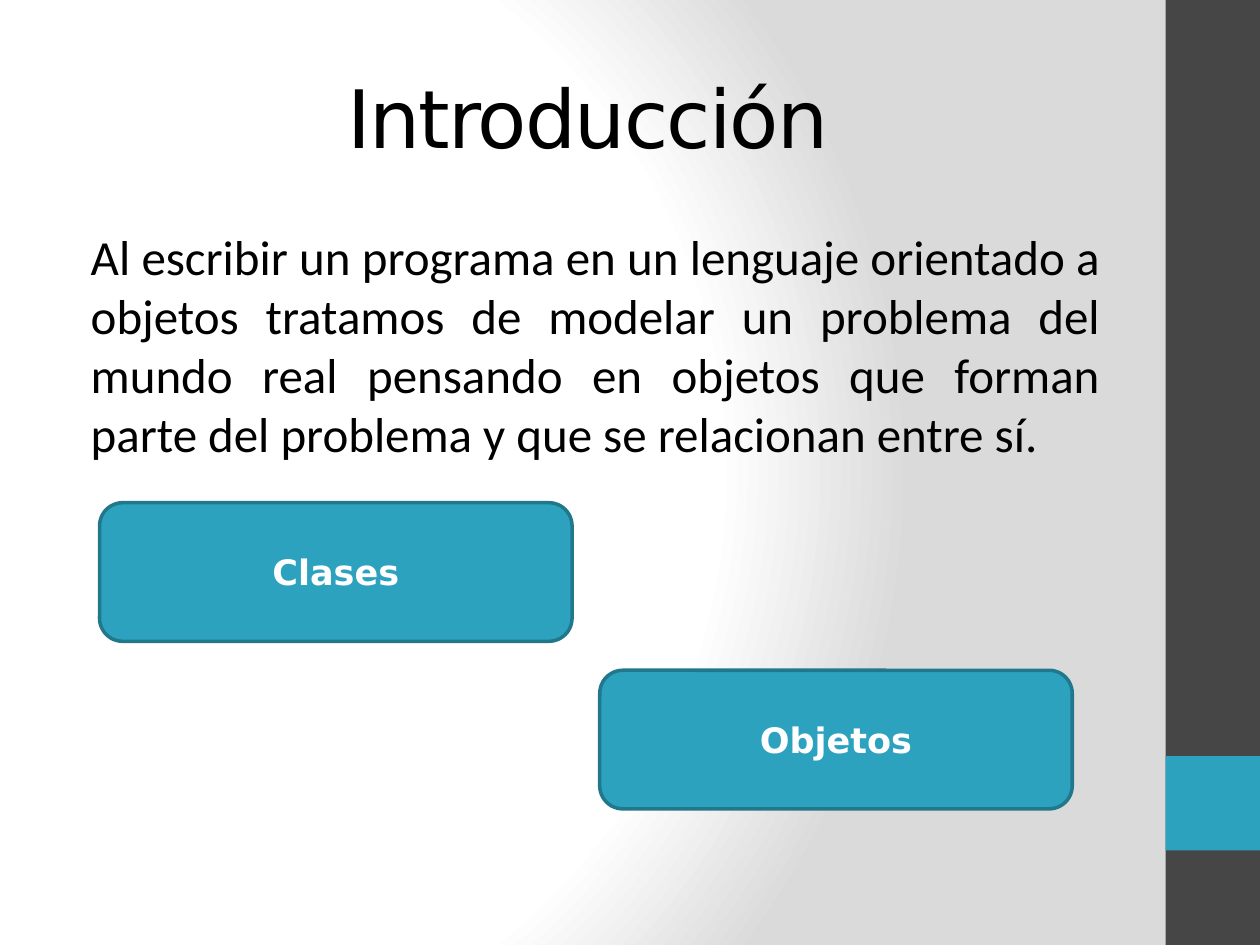
from lxml.etree import SubElement
from pptx import Presentation
from pptx.dml.color import RGBColor
from pptx.enum.shapes import MSO_SHAPE
from pptx.enum.text import MSO_ANCHOR, MSO_AUTO_SIZE, PP_ALIGN
from pptx.oxml.ns import qn
from pptx.util import Inches, Pt

DARK, TEAL, TEAL_EDGE = "464646", "2DA2BF", "21788D"
BLACK, WHITE, GREY = "000000", "FFFFFF", "DADADA"


def color(hex_text):
    """Turn a hex string into a colour."""
    return RGBColor.from_string(hex_text)


class SlideBuilder:
    """Hold the text styles and the current slide."""

    styles = {
        "title": {"name": "DejaVu Sans", "size": Pt(46), "bold": False, "color": BLACK},
        "body": {"name": "Calibri", "size": Pt(28), "bold": False, "color": BLACK},
        "box": {"name": "DejaVu Sans", "size": Pt(20), "bold": True, "color": WHITE},
    }

    def __init__(self, slide):
        """Keep the slide to build on."""
        self.slide = slide

    def background(self, stops, center):
        """Fill the background with a circular gradient."""
        fill = self.slide.background.fill
        fill.gradient()
        gradient = self.slide.element.find(".//" + qn("p:bg") + "//" + qn("a:gradFill"))
        for child in list(gradient):
            gradient.remove(child)
        stop_list = SubElement(gradient, qn("a:gsLst"))
        for position, hex_text in stops:
            stop = SubElement(stop_list, qn("a:gs"), pos=str(position * 1000))
            SubElement(stop, qn("a:srgbClr"), val=hex_text)
        circle = SubElement(gradient, qn("a:path"))
        circle.set("path", "circle")
        edges = {side: str(value * 1000) for side, value in zip("ltrb", center)}
        SubElement(circle, qn("a:fillToRect"), **edges)

    def set_text(self, shape, text, style, align, anchor=MSO_ANCHOR.MIDDLE):
        """Put one styled paragraph in a shape and return it."""
        frame = shape.text_frame
        settings = {"word_wrap": True, "auto_size": MSO_AUTO_SIZE.NONE, "vertical_anchor": anchor}
        for key, value in settings.items():
            setattr(frame, key, value)
        paragraph = frame.paragraphs[0]
        paragraph.alignment = align
        run = paragraph.add_run()
        run.text = text
        for key, value in self.styles[style].items():
            if key == "color":
                run.font.color.rgb = color(value)
            else:
                setattr(run.font, key, value)
        return paragraph

    def place(self, shape, *bounds):
        """Move and size a shape, in inches."""
        for key, value in zip(("left", "top", "width", "height"), bounds):
            setattr(shape, key, Inches(value))

    def title(self, text, *bounds):
        """Fill the title placeholder."""
        shape = self.slide.shapes.title
        self.place(shape, *bounds)
        paragraph = self.set_text(shape, text, "title", PP_ALIGN.CENTER)
        paragraph.runs[0].font._element.set("spc", "-100")

    def body(self, text, *bounds):
        """Fill the body placeholder with a justified paragraph without bullet."""
        shape = self.slide.placeholders[1]
        self.place(shape, *bounds)
        paragraph = self.set_text(shape, text, "body", PP_ALIGN.JUSTIFY, MSO_ANCHOR.TOP)
        properties = paragraph._p.get_or_add_pPr()
        properties.set("marL", str(Inches(0.12)))
        properties.set("indent", "0")
        SubElement(properties, qn("a:buNone"))

    def block(self, kind, fill, *bounds, line=None):
        """Add a filled shape with an optional outline."""
        shape = self.slide.shapes.add_shape(kind, *map(Inches, bounds))
        shape.shadow.inherit = False
        shape.fill.solid()
        shape.fill.fore_color.rgb = color(fill)
        if line:
            shape.line.color.rgb = color(line)
            shape.line.width = Pt(2)
        else:
            shape.line.fill.background()
        return shape

    def concept(self, text, left, top):
        """Add a rounded box with a bold label."""
        shape = self.block(MSO_SHAPE.ROUNDED_RECTANGLE, TEAL, left, top, 3.75, 1.1, line=TEAL_EDGE)
        self.set_text(shape, text, "box", PP_ALIGN.CENTER)


def main():
    """Build and save the slide."""
    presentation = Presentation()
    presentation.slide_width, presentation.slide_height = Inches(10), Inches(7.5)
    builder = SlideBuilder(presentation.slides.add_slide(presentation.slide_layouts[1]))
    builder.background([(0, WHITE), (75, WHITE), (100, GREY)], (20, 50, 100, 50))
    builder.block(MSO_SHAPE.RECTANGLE, DARK, 9.25, 0, 0.75, 7.5)
    builder.block(MSO_SHAPE.RECTANGLE, TEAL, 9.25, 6, 0.75, 0.75)
    builder.title("Introducción", 0.5, 0.3, 8.33, 1.25)
    builder.body(
        "Al escribir un programa en un lenguaje orientado a objetos tratamos de modelar "
        "un problema del mundo real pensando en objetos que forman parte del problema "
        "y que se relacionan entre sí.",
        0.5, 1.75, 8.33, 0.98,
    )
    for text, left, top in (("Objetos", 4.76, 5.32), ("Clases", 0.79, 3.99)):
        builder.concept(text, left, top)
    presentation.save("out.pptx")


main()
